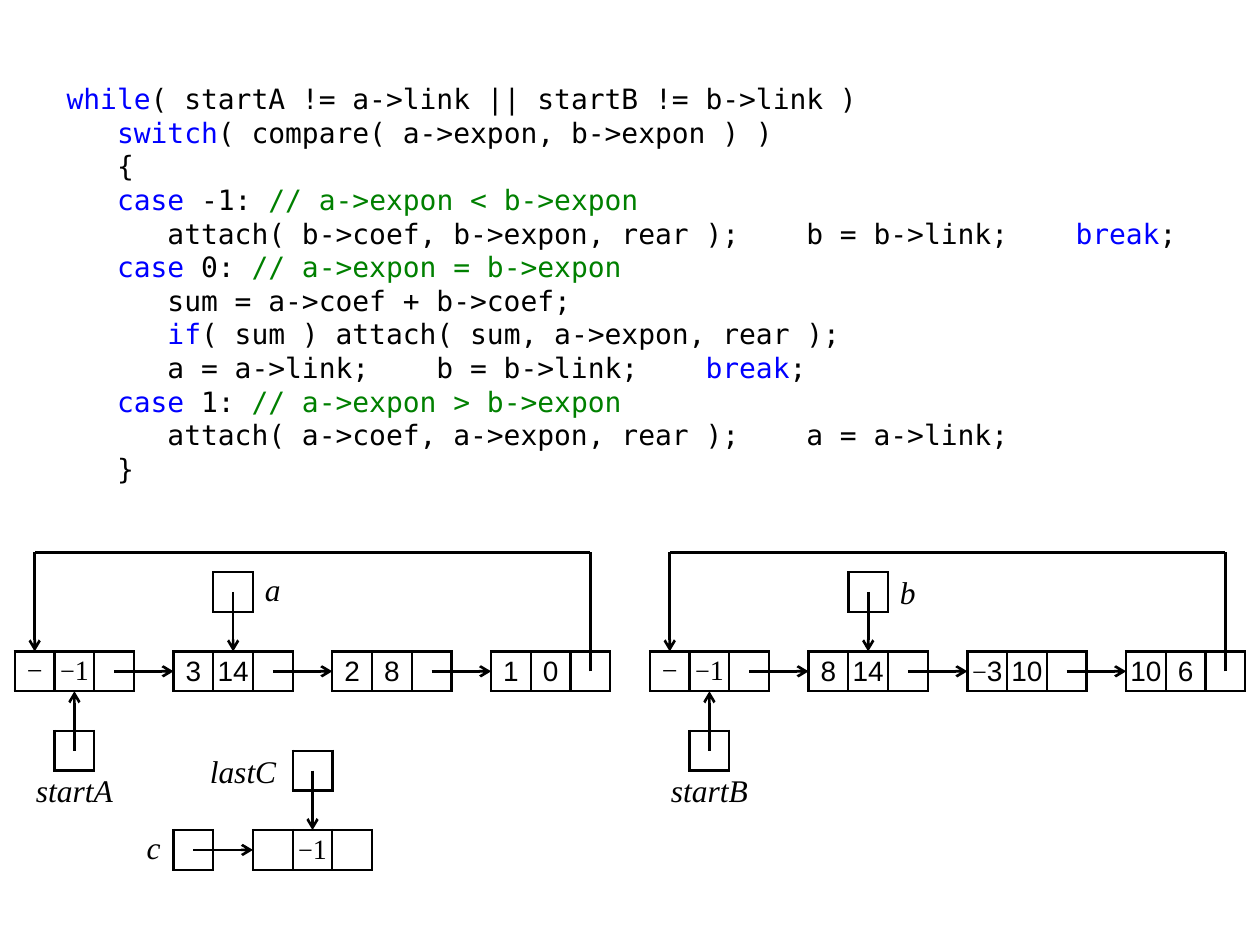
import pptx
import pptx.dml.color
import pptx.enum.shapes
import pptx.enum.text
import pptx.oxml
import pptx.oxml.ns
import pptx.util

Pt = pptx.util.Pt
BLACK, BLUE, GREEN = "000000", "0000FF", "008000"
SERIF, SANS, MONO = "Times New Roman", "Arial", "DejaVu Sans Mono"
CELL, LEFT, TOP = 22.68, 8.5, 372.3
LIST_B = 16
GAP = "gap"
LINE_WIDTH = 1.5

HEAD = [[("−", SERIF, 16)], [("−", SERIF, 15), ("1", SERIF, 16)], [], GAP]
CODE = [
    [("while", BLUE), ("( startA != a->link || startB != b->link )", BLACK)],
    [("   switch", BLUE), ("( compare( a->expon, b->expon ) )", BLACK)],
    [("   {", BLACK)],
    [("   case", BLUE), (" -1: ", BLACK), ("// a->expon < b->expon", GREEN)],
    [("      attach( b->coef, b->expon, rear );    b = b->link;    ", BLACK),
     ("break", BLUE), (";", BLACK)],
    [("   case", BLUE), (" 0: ", BLACK), ("// a->expon = b->expon", GREEN)],
    [("      sum = a->coef + b->coef;", BLACK)],
    [("      if", BLUE), ("( sum ) attach( sum, a->expon, rear );", BLACK)],
    [("      a = a->link;    b = b->link;    ", BLACK), ("break", BLUE), (";", BLACK)],
    [("   case", BLUE), (" 1: ", BLACK), ("// a->expon > b->expon", GREEN)],
    [("      attach( a->coef, a->expon, rear );    a = a->link;", BLACK)],
    [("   }", BLACK)],
]


def color(value):
    """Turn a hex string into a colour."""
    return pptx.dml.color.RGBColor.from_string(value)


def grid(column, row):
    """Give the point at a column and row of the diagram grid."""
    return Pt(LEFT + column * CELL), Pt(TOP + row * CELL)


def set_values(target, values):
    """Set attributes from a dict of format values."""
    for name, value in values.items():
        setattr(target, name, value)


def add_run(paragraph, text, font, size, fill=BLACK, italic=False):
    """Add one formatted run to a paragraph."""
    run = paragraph.add_run()
    run.text = text
    set_values(run.font, {"name": font, "size": Pt(size), "italic": italic})
    run.font.color.rgb = color(fill)


def add_code(slide):
    """Add the code listing."""
    frame = slide.shapes.add_textbox(Pt(31), Pt(43.2), Pt(657.4), Pt(238.3)).text_frame
    frame.word_wrap = True
    for index, line in enumerate(CODE):
        paragraph = frame.add_paragraph() if index else frame.paragraphs[0]
        paragraph.line_spacing = Pt(19.2)
        for text, fill in line:
            add_run(paragraph, text, MONO, 16, fill)


def add_label(slide, text, column, row, columns=1, bottom=0):
    """Add an italic variable name centred on grid cells."""
    box = slide.shapes.add_textbox(*grid(column, row), Pt(columns * CELL), Pt(CELL))
    set_values(box.text_frame, {
        "margin_left": 0, "margin_right": 0, "margin_top": 0,
        "margin_bottom": Pt(bottom), "word_wrap": False,
        "vertical_anchor": pptx.enum.text.MSO_ANCHOR.MIDDLE,
    })
    paragraph = box.text_frame.paragraphs[0]
    paragraph.alignment = pptx.enum.text.PP_ALIGN.CENTER
    add_run(paragraph, text, SERIF, 18, italic=True)


def set_borders(cell, is_gap):
    """Draw the cell borders, leaving a gap cell open above and below."""
    properties = cell._tc.get_or_add_tcPr()
    for side in "LRTB":
        if is_gap and side in "TB":
            fill = "<a:noFill/>"
        else:
            fill = f'<a:solidFill><a:srgbClr val="{BLACK}"/></a:solidFill>'
        properties.append(pptx.oxml.parse_xml(
            f'<a:ln{side} {pptx.oxml.ns.nsdecls("a")} w="{Pt(LINE_WIDTH)}">{fill}</a:ln{side}>'))


def add_cells(slide, column, row, contents):
    """Add a one-row table of square cells on the grid."""
    count = len(contents)
    table = slide.shapes.add_table(
        1, count, *grid(column, row), Pt(count * CELL), Pt(CELL)).table
    set_values(table, {"first_row": False, "horz_banding": False})
    for index, content in enumerate(contents):
        table.columns[index].width = Pt(CELL)
        cell = table.cell(0, index)
        set_values(cell, {
            "margin_left": 0, "margin_right": 0, "margin_top": 0, "margin_bottom": 0,
            "vertical_anchor": pptx.enum.text.MSO_ANCHOR.MIDDLE,
        })
        set_borders(cell, content == GAP)
        cell.fill.background()
        paragraph = cell.text_frame.paragraphs[0]
        paragraph.alignment = pptx.enum.text.PP_ALIGN.CENTER
        if content != GAP:
            for text, font, size in content:
                add_run(paragraph, text, font, size)


def add_line(slide, start, end, arrow=True):
    """Add a straight line between two grid points."""
    line = slide.shapes.add_connector(
        pptx.enum.shapes.MSO_CONNECTOR.STRAIGHT, *grid(*start), *grid(*end))
    line.line.width = Pt(LINE_WIDTH)
    line.line.color.rgb = color(BLACK)
    namespace = pptx.oxml.ns.nsdecls("a")
    if arrow:
        line.line._get_or_add_ln().append(
            pptx.oxml.parse_xml(f'<a:tailEnd {namespace} type="arrow"/>'))
    line._element.spPr.append(pptx.oxml.parse_xml(f"<a:effectLst {namespace}/>"))


def add_pointer(slide, column, row, end):
    """Add a pointer box with an arrow from its centre."""
    add_cells(slide, column, row, [[]])
    add_line(slide, (column + 0.5, row + 0.5), end)


def number(text):
    """Give the runs of a number, with a serif minus sign."""
    sign = [("−", SERIF, 15)] if text.startswith("−") else []
    return sign + [(text.lstrip("−"), SANS, 16)]


def add_polynomial(slide, column, terms, pointer, start):
    """Add a circular list with its current and start pointers."""
    contents = list(HEAD)
    for coefficient, exponent in terms:
        contents += [number(coefficient), number(exponent), [], GAP]
    add_cells(slide, column, 0, contents[:-1])
    for index in range(len(terms)):
        link = column + 4 * index + 2.5
        add_line(slide, (link, 0.5), (link + 1.5, 0.5))
    last, first = column + 14.5, column + 0.5
    add_line(slide, (last, 0.5), (last, -2.5), arrow=False)
    add_line(slide, (last, -2.5), (first, -2.5), arrow=False)
    add_line(slide, (first, -2.5), (first, 0))
    add_pointer(slide, column + 5, -2, (column + 5.5, 0))
    add_label(slide, pointer, column + 6, -2, bottom=3.6 if pointer == "a" else 0)
    add_pointer(slide, column + 1, 2, (column + 1.5, 1))
    add_label(slide, start, column, 3, columns=3)


def add_result(slide):
    """Add the result list with its head and last pointers."""
    add_cells(slide, 6, 4.5, [[], HEAD[1], []])
    add_pointer(slide, 4, 4.5, (6, 5))
    add_label(slide, "c", 3, 4.5, bottom=3.6)
    add_pointer(slide, 7, 2.5, (7.5, 4.5))
    add_label(slide, "lastC", 4.5, 2.5, columns=2.5)


def main():
    """Build and save the slide."""
    presentation = pptx.Presentation()
    set_values(presentation, {"slide_width": Pt(720), "slide_height": Pt(540)})
    slide = presentation.slides.add_slide(presentation.slide_layouts[6])
    add_code(slide)
    add_polynomial(slide, 0, [("3", "14"), ("2", "8"), ("1", "0")], "a", "startA")
    add_polynomial(slide, LIST_B, [("8", "14"), ("−3", "10"), ("10", "6")], "b", "startB")
    add_result(slide)
    presentation.save("out.pptx")


if __name__ == "__main__":
    main()
